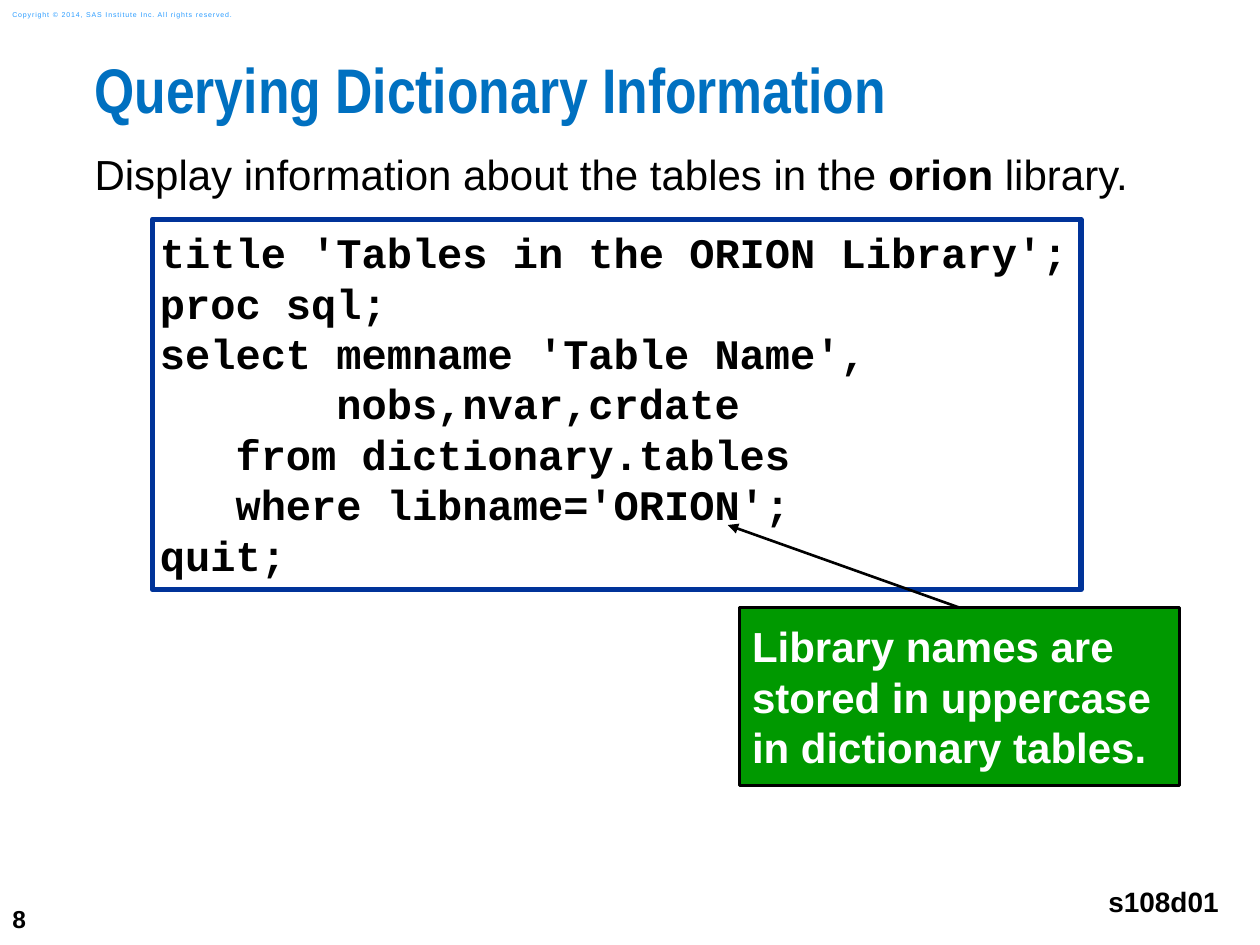
from pptx import Presentation
from pptx.dml.color import RGBColor
from pptx.enum.shapes import MSO_SHAPE
from pptx.enum.text import MSO_ANCHOR, PP_ALIGN
from pptx.oxml.ns import qn
from pptx.util import Inches, Pt
from lxml import etree

RECT, CALLOUT = MSO_SHAPE.RECTANGLE, MSO_SHAPE.LINE_CALLOUT_1
TOP, MIDDLE = MSO_ANCHOR.TOP, MSO_ANCHOR.MIDDLE
LEFT, RIGHT = PP_ALIGN.LEFT, PP_ALIGN.RIGHT
WIDTH, HEIGHT = Inches(10), Inches(7.5)
INK = {"black": "000000", "white": "FFFFFF", "title": "0070C0",
       "legal": "2A9CFF", "frame": "003399", "note": "009900"}
CODE = """title 'Tables in the ORION Library';
proc sql;
select memname 'Table Name',
       nobs,nvar,crdate
   from dictionary.tables
   where libname='ORION';
quit;"""
NOTE = "Library names are\vstored in uppercase\vin dictionary tables."


def tint(name):
    return RGBColor.from_string(INK[name])


def area(x, y, w, h):
    """Turn shares of the slide into a box in EMU."""
    return [round(x * WIDTH), round(y * HEIGHT),
            round(w * WIDTH), round(h * HEIGHT)]


def write(shape, text, size, ink="black", face="Arial", bold=True,
          pad=(0, 0), anchor=TOP, align=LEFT, wrap=False, pitch=None):
    """Fill a shape with text; pad is (side, top) in inches."""
    frame = shape.text_frame
    frame.word_wrap = wrap
    frame.vertical_anchor = anchor
    frame.margin_left = frame.margin_right = Inches(pad[0])
    frame.margin_top = frame.margin_bottom = Inches(pad[1])
    frame.text = text
    for para in frame.paragraphs:
        para.alignment = align
        para.line_spacing = pitch
        font = para.font
        font.name, font.size, font.bold = face, Pt(size), bold
        font.color.rgb = tint(ink)
    return frame


def label(slide, box, text, size, **style):
    return write(slide.shapes.add_textbox(*box), text, size, **style)


def panel(slide, box, kind, fill, line, weight):
    shape = slide.shapes.add_shape(kind, *box)
    shape.shadow.inherit = False
    shape.fill.solid()
    shape.fill.fore_color.rgb = tint(fill)
    shape.line.color.rgb = tint(line)
    shape.line.width = Pt(weight)
    return shape


def lead(slide, box):
    frame = label(slide, box, "Display information about the tables in the ",
                  24, bold=False, wrap=True)
    para = frame.paragraphs[0]
    for text, bold in (("orion", True), (" library.", None)):
        run = para.add_run()
        run.text, run.font.bold = text, bold


def code(slide, box):
    shape = panel(slide, box, RECT, "white", "frame", 3)
    write(shape, CODE, 24, face="Courier New", pad=(0.06, 0.06),
          pitch=Pt(28.8))


def note(slide, box):
    shape = panel(slide, box, CALLOUT, "note", "black", 1.5)
    for i, share in enumerate((0, 0.5, -0.465, -0.027)):
        shape.adjustments[i] = share
    edge = shape.element.spPr.find(qn("a:ln"))
    etree.SubElement(edge, qn("a:tailEnd"), type="triangle")
    write(shape, NOTE, 24, ink="white", pad=(0.1, 0.1), anchor=MIDDLE,
          pitch=Pt(28.8))


def margin(slide):
    """Place the small print around the slide's edge."""
    label(slide, area(0, 0.944, 0.058, 0.056), "8", 14,
          pad=(0.1, 0.05), anchor=MIDDLE)
    frame = label(slide, area(0, 0.004, 0.211, 0.023),
                  "Copyright © 2014, SAS Institute Inc. All rights reserved.",
                  4, ink="legal", bold=False, pad=(0.1, 0.05), anchor=MIDDLE)
    for run in frame.paragraphs[0].runs:
        run.font._element.set("spc", "50")
    label(slide, area(0.869, 0.923, 0.108, 0.062), "s108d01", 16,
          pad=(0.1, 0.1), align=RIGHT)


def main():
    deck = Presentation()
    deck.slide_width, deck.slide_height = WIDTH, HEIGHT
    slide = deck.slides.add_slide(deck.slide_layouts[6])
    margin(slide)
    label(slide, area(0.075, 0.067, 0.925, 0.099),
          "Querying Dictionary Information", 36, ink="title",
          face="Arial Narrow", wrap=True, pitch=0.83)
    lead(slide, area(0.075, 0.157, 0.858, 0.08))
    code(slide, area(0.121, 0.232, 0.737, 0.392))
    note(slide, area(0.587, 0.643, 0.349, 0.188))
    deck.save("out.pptx")


if __name__ == "__main__":
    main()
